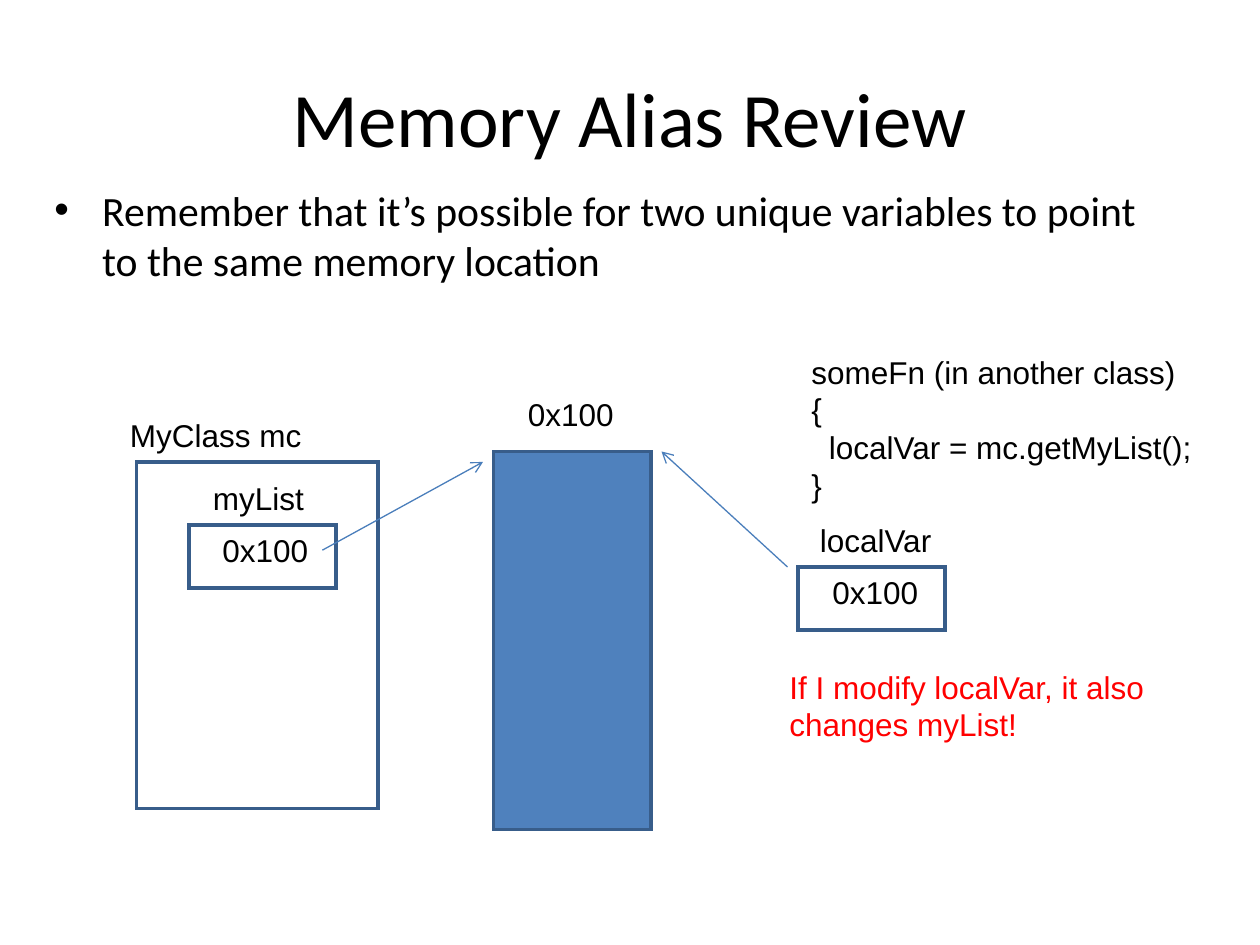
from pptx import Presentation, util as u
from pptx.dml.color import RGBColor
from pptx.enum import shapes, text
from pptx.oxml.ns import qn
from lxml import etree

# Places are in grid units of 1/12 inch: left, top, width, height
UNIT = u.Inches(1) // 12
BLACK, RED, BLUE, EDGE, ARROW = "000000", "FF0000", "4F81BD", "385D8A", "4A7EBB"

TITLE = "Memory Alias Review"
POINT = ("Remember that it’s possible for two unique variables "
         "to point to the same memory location")
CODE = """someFn (in another class)
{
  localVar = mc.getMyList();
}"""
WARNING = "If I modify localVar, it also changes myList!"

BOXES = [
    ((18, 50, 14, 6), None),    # myList
    ((13, 44, 23, 33), None),   # MyClass object
    ((47, 43, 15, 36), BLUE),   # shared memory
    ((76, 54, 14, 6), None),    # localVar
]
LABELS = [
    ("myList", (19.1, 45, 11.3, 4.8)),
    ("MyClass mc", (11.2, 39, 18.7, 4.8)),
    ("0x100", (20, 50, 10.6, 4.8)),
    ("0x100", (49.1, 37, 10.6, 4.8)),
    (CODE, (76.1, 33, 38.8, 15.6)),
    ("localVar", (76.9, 49, 13.2, 4.8)),
    ("0x100", (78.1, 54, 10.6, 4.8)),
]
ARROWS = [((30.7, 52.4), (46, 44)), ((75, 54), (63, 43))]


def grid(place):
    return [round(n * UNIT) for n in place]


def rgb(code):
    return RGBColor.from_string(code)


def stroke(shape, color, width):
    shape.line.color.rgb = rgb(color)
    shape.line.width = u.Pt(width)
    return shape._element.spPr.find(qn("a:ln"))


def write(words, place, size=18, face="Arial", color=BLACK, wrap=False):
    frame = slide.shapes.add_textbox(*grid(place)).text_frame
    frame.text = words
    frame.word_wrap = wrap
    if not wrap:
        frame.auto_size = text.MSO_AUTO_SIZE.SHAPE_TO_FIT_TEXT
    for para in frame.paragraphs:
        for run in para.runs:
            run.font.size = u.Pt(size)
            run.font.name = face
            run.font.color.rgb = rgb(color)
    return frame


prs = Presentation()
prs.slide_width, prs.slide_height = grid((120, 90))
slide = prs.slides.add_slide(prs.slide_layouts[6])

# Title
head = write(TITLE, (6, 3.6, 108, 15), 44, "Calibri", wrap=True)
head.vertical_anchor = text.MSO_ANCHOR.MIDDLE
head.paragraphs[0].alignment = text.PP_ALIGN.CENTER

# Bullet point
body = write(POINT, (4, 17, 108, 11), 23.8, "Calibri", wrap=True)
props = body.paragraphs[0]._p.get_or_add_pPr()
indent = u.Inches(0.38)
props.set("marL", str(indent))
props.set("indent", str(-indent))
etree.SubElement(props, qn("a:buFont")).set("typeface", "Arial")
etree.SubElement(props, qn("a:buChar")).set("char", "•")

# Variables and memory
for place, fill in BOXES:
    box = slide.shapes.add_shape(shapes.MSO_SHAPE.RECTANGLE, *grid(place))
    box.shadow.inherit = False
    if fill:
        box.fill.solid()
        box.fill.fore_color.rgb = rgb(fill)
    else:
        box.fill.background()
    edge = stroke(box, EDGE, 2)
    etree.SubElement(edge, qn("a:miter")).set("lim", "800000")

# Labels and code
for words, place in LABELS:
    write(words, place)
write(WARNING, (74, 63, 37, 8.4), color=RED, wrap=True)

# References to the shared memory
for start, end in ARROWS:
    link = slide.shapes.add_connector(
        shapes.MSO_CONNECTOR.STRAIGHT, *grid(start + end))
    line = stroke(link, ARROW, 0.75)
    etree.SubElement(line, qn("a:tailEnd")).set("type", "arrow")
    etree.SubElement(link._element.spPr, qn("a:effectLst"))

prs.save("out.pptx")
